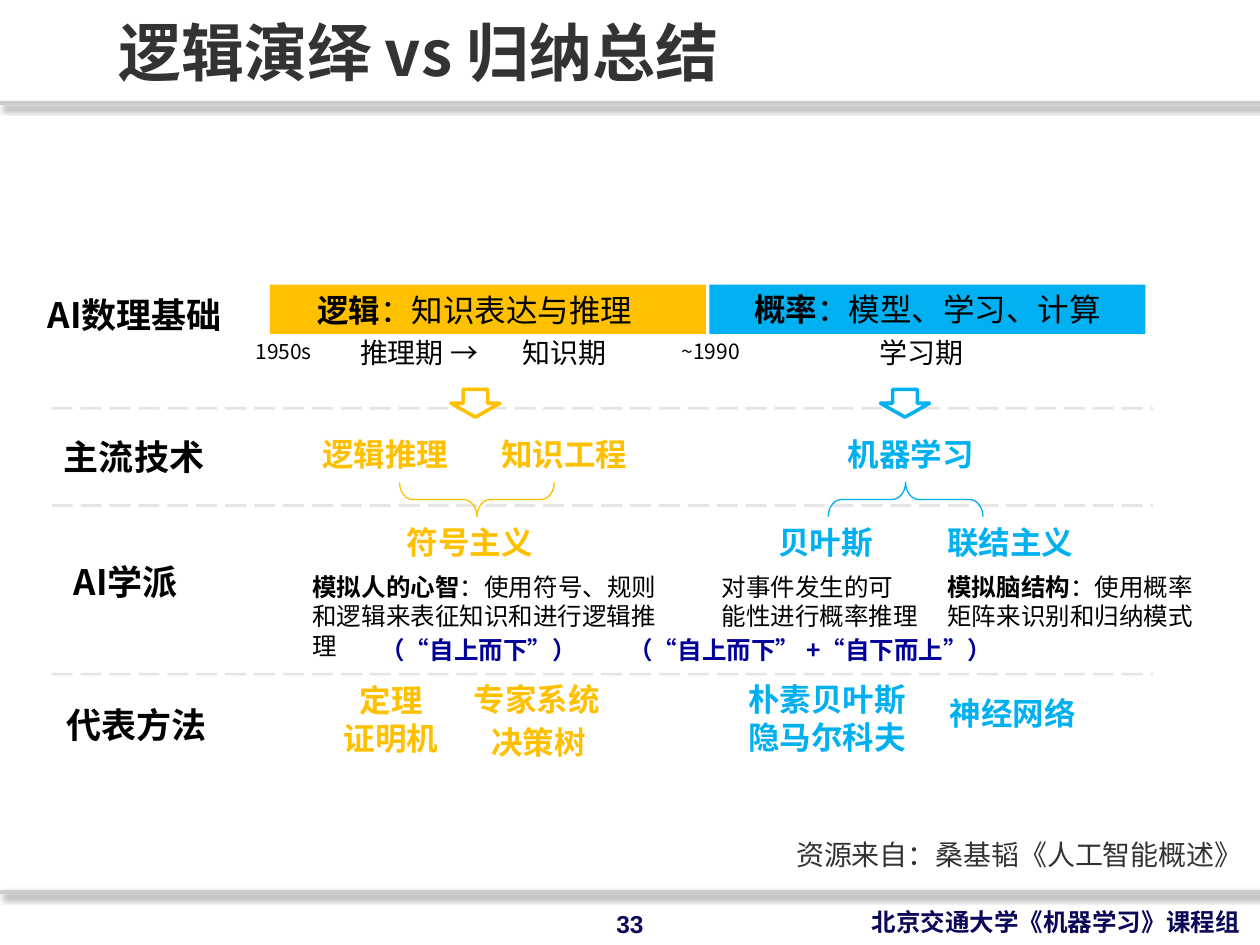
from dataclasses import dataclass

from lxml import etree
from pptx import Presentation
from pptx import util as u
from pptx.dml.color import RGBColor
from pptx.enum import dml, shapes, text
from pptx.oxml.ns import qn

Cm = u.Cm
COLORS = {
    "logic": "FFC000", "prob": "00B0F0", "black": "000000", "white": "FFFFFF",
    "navy": "0B0759", "blue": "000099", "title": "333333",
    "rule": "CCCCCC", "dash": "BFBFBF",
}
CJK = "Noto Sans CJK SC"


@dataclass
class Label:
    """Text at a place in cm; "\\n" starts a paragraph, "\\v" breaks a line."""
    body: str
    x: float
    y: float
    w: float
    size: int = 18
    color: str = "black"
    bold: bool = True
    lead: str = ""  # bold words before the body
    font: str = CJK
    center: bool = False
    wrap: bool = True


@dataclass
class Branch:
    """The shapes that belong to one of the two schools."""
    color: str
    bar_x: float
    arrow_x: float
    brace_x: float
    brace_turn: int


def rgb(name: str) -> RGBColor:
    return RGBColor.from_string(COLORS[name])


def sub(parent, tag: str, **attrs):
    return etree.SubElement(parent, qn(tag), {k: str(v) for k, v in attrs.items()})


def add_run(p, words: str, label: Label, bold: bool) -> None:
    r = p.add_run()
    r.text = words
    r.font.size, r.font.bold, r.font.name = u.Pt(label.size), bold, label.font
    r.font.color.rgb = rgb(label.color)
    sub(r.font._element, "a:ea", typeface=label.font)


def add_label(s, label: Label):
    lines = 1 + label.body.count("\n") + label.body.count("\v")
    height = 0.25 + 0.0435 * label.size * lines
    box = s.shapes.add_textbox(Cm(label.x), Cm(label.y), Cm(label.w), Cm(height))
    tf = box.text_frame
    tf.word_wrap = label.wrap
    tf.auto_size = text.MSO_AUTO_SIZE.SHAPE_TO_FIT_TEXT
    for i, para in enumerate(label.body.split("\n")):
        p = tf.add_paragraph() if i else tf.paragraphs[0]
        if label.center:
            p.alignment = text.PP_ALIGN.CENTER
        if label.lead:
            add_run(p, label.lead, label, True)
        for j, line in enumerate(para.split("\v")):
            if j:
                p.add_line_break()
            add_run(p, line, label, label.bold)
    return box


def add_line(s, x1: float, x2: float, y: float, color: str, width: float):
    ln = s.shapes.add_connector(shapes.MSO_CONNECTOR.STRAIGHT, Cm(x1), Cm(y), Cm(x2), Cm(y))
    ln.line.color.rgb, ln.line.width = rgb(color), u.Pt(width)
    return ln, sub(ln._element.spPr, "a:effectLst")


def add_rule(s, y: float) -> None:
    _, effects = add_line(s, 0, 25.4, y, "rule", 2)
    shadow = sub(effects, "a:outerShdw", blurRad=u.Pt(4), dist=u.Pt(3), dir=45 * 60000)
    sub(sub(shadow, "a:srgbClr", val=COLORS["black"]), "a:alpha", val=40000)


def add_divider(s, y: float) -> None:
    ln, _ = add_line(s, 1.04, 23.24, y, "dash", 1.5)
    ln.line.dash_style = dml.MSO_LINE.LONG_DASH
    for clr in ln._element.spPr.iter(qn("a:srgbClr")):
        sub(clr, "a:alpha", val=40000)


def add_preset(s, kind, x: float, y: float, w: float, h: float,
               fill: str = "", line: str = "", width: float = 0):
    sp = s.shapes.add_shape(kind, Cm(x), Cm(y), Cm(w), Cm(h))
    sp.shadow.inherit = False
    if fill:
        sp.fill.solid()
        sp.fill.fore_color.rgb = rgb(fill)
    else:
        sp.fill.background()
    if line:
        sp.line.color.rgb, sp.line.width = rgb(line), u.Pt(width)
    else:
        sp.line.fill.background()
    return sp


def add_branch(s, b: Branch) -> None:
    kinds = shapes.MSO_SHAPE
    add_preset(s, kinds.RECTANGLE, b.bar_x, 5.74, 8.79, 0.99, fill=b.color)
    add_preset(s, kinds.DOWN_ARROW, b.arrow_x, 7.85, 0.99, 0.56, "white", b.color, 2)
    brace = add_preset(s, kinds.LEFT_BRACE, b.brace_x, 8.51, 0.69, 3.12, "", b.color, 0.75)
    brace.adjustments[0], brace.adjustments[1] = 0.39, 0.5
    brace.rotation = b.brace_turn


BRANCHES = [
    Branch("logic", 5.44, 9.09, 9.27, 270),
    Branch("prob", 14.3, 17.75, 17.91, 90),
]

LABELS = [
    # Row headings
    Label("AI数理基础", 0.71, 5.79, 4.27, 20),
    Label("主流技术", 1.04, 8.66, 3.45, 20),
    Label("AI学派", 1.24, 11.18, 3.45, 20),
    Label("代表方法", 1.09, 14.05, 3.45, 20),
    # Foundations and timeline
    Label("：知识表达与推理", 6.15, 5.74, 7.65, bold=False, lead="逻辑"),
    Label("：模型、学习、计算", 14.96, 5.72, 7.65, bold=False, lead="概率"),
    Label("1950s", 4.9, 6.71, 4.27, 12, bold=False),
    Label("~1990", 13.49, 6.71, 4.27, 12, bold=False),
    Label("推理期 →", 7.01, 6.63, 3.12, 16, bold=False, wrap=False),
    Label("知识期", 10.29, 6.63, 2.24, 16, bold=False, wrap=False),
    Label("学习期", 17.48, 6.63, 2.24, 16, bold=False, wrap=False),
    # Mainstream techniques
    Label("逻辑推理", 6.25, 8.64, 3.86, color="logic"),
    Label("知识工程", 9.86, 8.64, 3.86, color="logic"),
    Label("机器学习", 16.84, 8.64, 4.27, color="prob"),
    # Schools
    Label("符号主义", 7.95, 10.41, 4.27, color="logic"),
    Label("贝叶斯", 15.44, 10.41, 4.27, color="prob"),
    Label("联结主义", 18.85, 10.41, 4.27, color="prob"),
    Label("：使用符号、规则\v和逻辑来表征知识和进行逻辑推理", 6.05, 11.4, 7.92, 14,
          bold=False, lead="模拟人的心智"),
    Label("对事件发生的可\v能性进行概率推理", 14.3, 11.4, 4.55, 14, bold=False),
    Label("：使用概率\v矩阵来识别和归纳模式", 18.85, 11.4, 5.87, 14,
          bold=False, lead="模拟脑结构"),
    Label("（“自上而下”）", 7.42, 12.67, 6.99, 14, "blue"),
    Label("（“自上而下” +“自下而上”）", 12.42, 12.67, 8.18, 14, "blue"),
    # Typical methods
    Label("定理\n证明机", 6.45, 13.61, 2.87, color="logic", center=True),
    Label("专家系统", 9.3, 13.59, 4.27, color="logic"),
    Label("决策树", 9.65, 14.45, 4.27, color="logic"),
    Label("朴素贝叶斯\n隐马尔科夫", 14.83, 13.59, 4.27, color="prob"),
    Label("神经网络", 18.9, 13.87, 4.27, color="prob"),
    # Source and footer
    Label("资源来自：桑基韬《人工智能概述》", 15.8, 16.76, 9.58, 16, "title",
          bold=False, font="Arial"),
    Label("北京交通大学《机器学习》课程组", 17.32, 18.16, 8.03, 14, "navy"),
    Label("33", 12.09, 18.19, 1.22, 14, "navy", font="Arial", center=True),
]


def main() -> None:
    prs = Presentation()
    prs.slide_width, prs.slide_height = Cm(25.4), Cm(19.05)
    s = prs.slides.add_slide(prs.slide_layouts[6])

    # Header and footer rules, row dividers
    for y in (2.08, 17.98):
        add_rule(s, y)
    for y in (8.23, 10.19, 13.59):
        add_divider(s, y)

    # Title
    title = add_label(s, Label("逻辑演绎 vs 归纳总结", 2.39, 0.51, 21.79, 36, "title"))
    title.height = Cm(1.3)
    tf = title.text_frame
    tf.margin_left = tf.margin_right = tf.margin_top = tf.margin_bottom = 0
    tf.vertical_anchor = text.MSO_ANCHOR.BOTTOM
    tf.paragraphs[0].line_spacing = 0.85

    # Diagram
    for branch in BRANCHES:
        add_branch(s, branch)
    for label in LABELS:
        add_label(s, label)

    prs.save("out.pptx")


if __name__ == "__main__":
    main()
